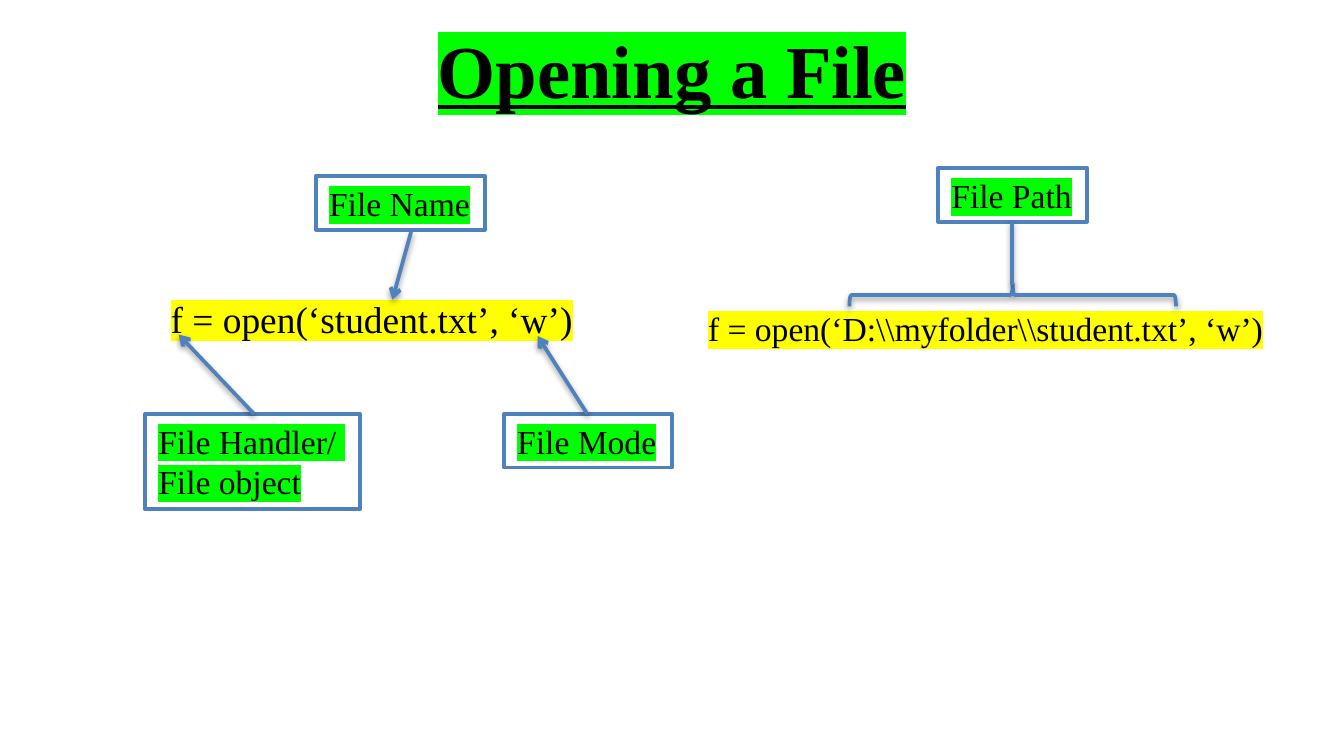
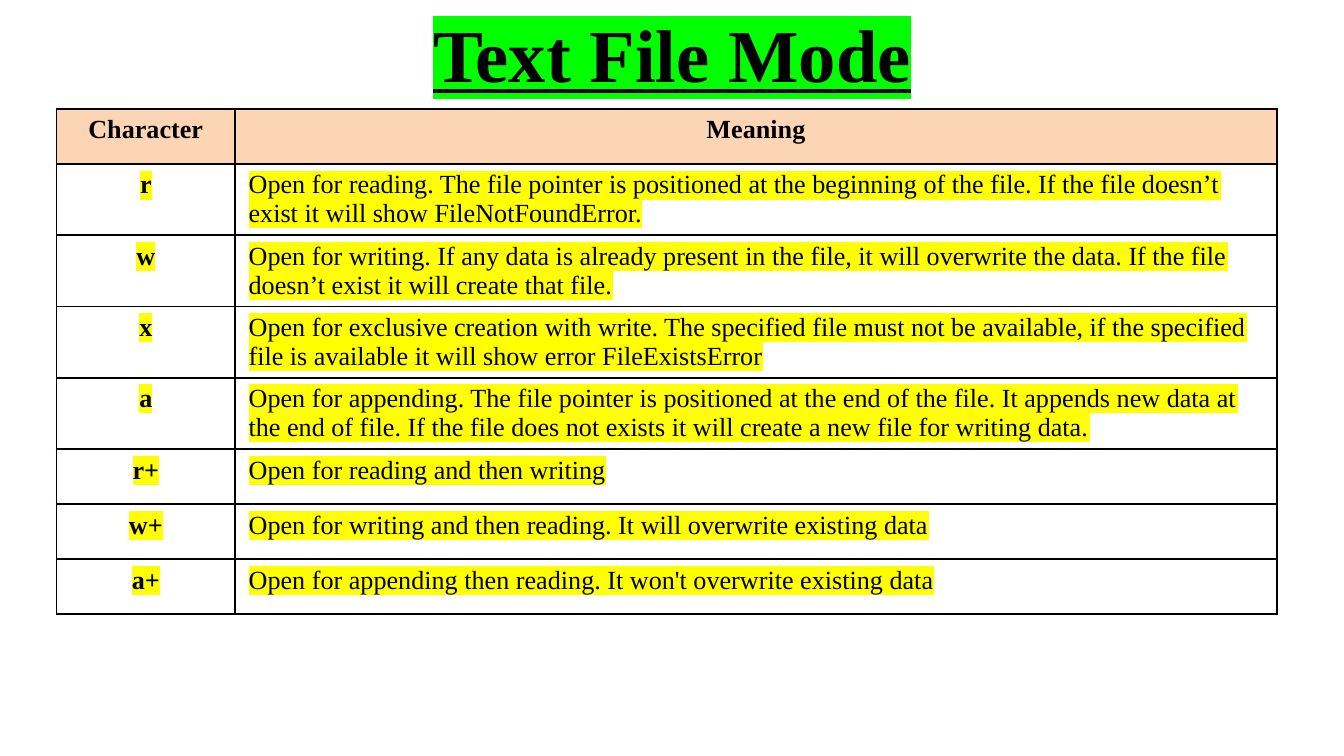
import dataclasses
import typing

import lxml.etree
import pptx
import pptx.dml.color
import pptx.enum.dml
import pptx.enum.shapes
import pptx.enum.text
import pptx.oxml
import pptx.oxml.ns
import pptx.util

Inches = pptx.util.Inches
qn = pptx.oxml.ns.qn

SLIDE_WIDTH = Inches(10)
SLIDE_HEIGHT = SLIDE_WIDTH * 9 // 16
FONT = "Times New Roman"
BLACK, WHITE, BLUE = "000000", "FFFFFF", "4F81BD"
GREEN, YELLOW, PEACH = "00FF00", "FFFF00", "FCD5B5"
LEFT = pptx.enum.text.PP_ALIGN.LEFT
CENTER = pptx.enum.text.PP_ALIGN.CENTER
TITLE_FORMAT = {"size": pptx.util.Pt(40), "bold": True, "underline": True}
CODE_FORMAT = {"size": pptx.util.Pt(20)}
LABEL_FORMAT = {"size": pptx.util.Pt(18)}
MODE_FORMAT = {"size": pptx.util.Pt(14), "bold": True}
MEANING_FORMAT = {"size": pptx.util.Pt(14), "bold": False}
FITTED_FRAME = {
    "word_wrap": False,
    "auto_size": pptx.enum.text.MSO_AUTO_SIZE.SHAPE_TO_FIT_TEXT,
}
FIXED_FRAME = {
    "word_wrap": True,
    "auto_size": pptx.enum.text.MSO_AUTO_SIZE.NONE,
}
LINE_SHADOW = (
    '<a:effectLst %s><a:outerShdw blurRad="40000" dist="20000" dir="5400000" '
    'rotWithShape="0"><a:srgbClr val="000000"><a:alpha val="38000"/>'
    "</a:srgbClr></a:outerShdw></a:effectLst>" % pptx.oxml.ns.nsdecls("a")
)


@dataclasses.dataclass(frozen=True)
class Box:
    left: float
    top: float
    width: float
    height: float

    def lengths(self) -> list:
        return [Inches(value) for value in dataclasses.astuple(self)]


@dataclasses.dataclass(frozen=True)
class Pointer:
    start: tuple
    end: tuple
    arrow: bool = True


@dataclasses.dataclass(frozen=True)
class Label:
    lines: tuple
    box: Box
    pointer: Pointer


STATEMENT_LABELS = [
    Label(("File Handler/ ", "File object"), Box(1.08, 3.08, 1.6, 0.71),
          Pointer((1.89, 3.08), (1.33, 2.49))),
    Label(("File Mode",), Box(3.75, 3.08, 1.25, 0.4),
          Pointer((4.37, 3.08), (4, 2.5))),
    Label(("File Name",), Box(2.35, 1.31, 1.26, 0.4),
          Pointer((3.06, 1.72), (2.92, 2.23))),
]
PATH_LABEL = Label(("File Path",), Box(6.98, 1.25, 1.11, 0.4),
                   Pointer((7.53, 1.65), (7.53, 2.12), arrow=False))

MODES = {
    "r": "Open for reading. The file pointer is positioned at the beginning of the file. "
         "If the file doesn’t exist it will show FileNotFoundError.",
    "w": "Open for writing. If any data is already present in the file, it will overwrite "
         "the data. If the file doesn’t exist it will create that file.",
    "x": "Open for exclusive creation with write. The specified file must not be available, "
         "if the specified file is available it will show error FileExistsError",
    "a": "Open for appending. The file pointer is positioned at the end of the file. It "
         "appends new data at the end of file. If the file does not exists it will create "
         "a new file for writing data.",
    "r+": "Open for reading and then writing",
    "w+": "Open for writing and then reading. It will overwrite existing data",
    "a+": "Open for appending then reading. It won't overwrite existing data",
}


def color(hex_code: str) -> pptx.dml.color.RGBColor:
    return pptx.dml.color.RGBColor.from_string(hex_code)


def apply(target: typing.Any, values: dict) -> None:
    for name, value in values.items():
        setattr(target, name, value)


def paint(fill: typing.Any, hex_code: str) -> None:
    fill.solid()
    fill.fore_color.rgb = color(hex_code)


def write(frame: typing.Any, lines: tuple, font_format: dict,
          marker: typing.Optional[str] = None, align: typing.Any = LEFT) -> None:
    for index, line in enumerate(lines):
        paragraph = frame.add_paragraph() if index else frame.paragraphs[0]
        paragraph.alignment = align
        run = paragraph.add_run()
        run.text = line
        apply(run.font, {**font_format, "name": FONT})
        run.font.color.rgb = color(BLACK)
        if marker:
            latin = run.font._element.find(qn("a:latin"))
            highlight = lxml.etree.Element(qn("a:highlight"))
            lxml.etree.SubElement(highlight, qn("a:srgbClr"), val=marker)
            latin.addprevious(highlight)


def place(shape: typing.Any, box: Box) -> None:
    apply(shape, dict(zip(("left", "top", "width", "height"), box.lengths())))


def outline(shape: typing.Any) -> None:
    shape.line.color.rgb = color(BLUE)
    shape.line.width = pptx.util.Pt(2)


def shade(shape: typing.Any) -> None:
    shape._element.spPr.append(pptx.oxml.parse_xml(LINE_SHADOW))


def add_title(slide: typing.Any, text: str, box: Box) -> None:
    title = slide.shapes.title
    place(title, box)
    apply(title.text_frame, {
        **FIXED_FRAME, "vertical_anchor": pptx.enum.text.MSO_ANCHOR.MIDDLE})
    write(title.text_frame, (text,), TITLE_FORMAT, GREEN, CENTER)


def add_pointer(slide: typing.Any, pointer: Pointer) -> None:
    ends = [Inches(value) for value in pointer.start + pointer.end]
    connector = slide.shapes.add_connector(
        pptx.enum.shapes.MSO_CONNECTOR.STRAIGHT, *ends)
    outline(connector)
    if pointer.arrow:
        lxml.etree.SubElement(connector.line._get_or_add_ln(),
                              qn("a:tailEnd"), type="arrow")
    shade(connector)


def add_label(slide: typing.Any, label: Label) -> None:
    shape = slide.shapes.add_shape(
        pptx.enum.shapes.MSO_SHAPE.RECTANGLE, *label.box.lengths())
    paint(shape.fill, WHITE)
    outline(shape)
    shape.shadow.inherit = False
    apply(shape.text_frame, {
        **FITTED_FRAME, "vertical_anchor": pptx.enum.text.MSO_ANCHOR.TOP})
    write(shape.text_frame, label.lines, LABEL_FORMAT, GREEN)


def add_statement(slide: typing.Any) -> None:
    statement = slide.placeholders[1]
    place(statement, Box(1.17, 2.15, 3.83, 0.58))
    apply(statement.text_frame, FIXED_FRAME)
    paragraph = statement.text_frame.paragraphs[0]
    properties = paragraph._p.get_or_add_pPr()
    for name in ("marL", "indent"):
        properties.set(name, "0")
    lxml.etree.SubElement(properties, qn("a:buNone"))
    paragraph.space_before = pptx.util.Pt(0)
    write(statement.text_frame, ("f = open(‘student.txt’, ‘w’)",), CODE_FORMAT, YELLOW)


def add_path_statement(slide: typing.Any) -> None:
    statement = slide.shapes.add_textbox(*Box(5.17, 2.24, 4.38, 0.4).lengths())
    apply(statement.text_frame, FITTED_FRAME)
    write(statement.text_frame,
          (r"f = open(‘D:\\myfolder\\student.txt’, ‘w’)",), LABEL_FORMAT, YELLOW)


def add_path_brace(slide: typing.Any) -> None:
    brace = slide.shapes.add_shape(
        pptx.enum.shapes.MSO_SHAPE.RIGHT_BRACE, *Box(7.45, 0.98, 0.17, 2.43).lengths())
    brace.rotation = 270
    brace.fill.background()
    outline(brace)
    shade(brace)


def add_borders(cell: typing.Any) -> None:
    properties = cell._tc.get_or_add_tcPr()
    for index, side in enumerate(("lnL", "lnR", "lnT", "lnB")):
        border = lxml.etree.Element(qn("a:" + side), w=str(int(pptx.util.Pt(1))))
        solid = lxml.etree.SubElement(border, qn("a:solidFill"))
        lxml.etree.SubElement(solid, qn("a:srgbClr"), val=BLACK)
        properties.insert(index, border)


def add_mode_table(slide: typing.Any) -> None:
    rows = [("Character", "Meaning"), *MODES.items()]
    row_height = 0.41
    box = Box(0.42, 0.81, 9.08, row_height * len(rows))
    table = slide.shapes.add_table(len(rows), 2, *box.lengths()).table
    apply(table, {"first_row": False, "horz_banding": False})
    for column, width in zip(table.columns, (1.33, 7.75)):
        column.width = Inches(width)
    for row_index, row in enumerate(rows):
        table.rows[row_index].height = Inches(row_height)
        is_header = row_index == 0
        for column_index, text in enumerate(row):
            cell = table.cell(row_index, column_index)
            is_meaning = column_index == 1 and not is_header
            write(cell.text_frame, (text,),
                  MEANING_FORMAT if is_meaning else MODE_FORMAT,
                  None if is_header else YELLOW,
                  LEFT if is_meaning else CENTER)
            if is_header:
                paint(cell.fill, PEACH)
            else:
                cell.fill.background()
            add_borders(cell)


def build_opening_slide(deck: typing.Any) -> None:
    slide = deck.slides.add_slide(deck.slide_layouts[1])
    add_title(slide, "Opening a File", Box(0.5, 0.04, 9, 0.94))
    add_statement(slide)
    for label in STATEMENT_LABELS:
        add_label(slide, label)
        add_pointer(slide, label.pointer)
    add_path_statement(slide)
    add_label(slide, PATH_LABEL)
    add_path_brace(slide)
    add_pointer(slide, PATH_LABEL.pointer)


def build_modes_slide(deck: typing.Any) -> None:
    slide = deck.slides.add_slide(deck.slide_layouts[5])
    add_title(slide, "Text File Mode", Box(0.5, -0.02, 9, 0.83))
    add_mode_table(slide)


def main() -> None:
    deck = pptx.Presentation()
    apply(deck, {"slide_width": SLIDE_WIDTH, "slide_height": SLIDE_HEIGHT})
    build_opening_slide(deck)
    build_modes_slide(deck)
    deck.save("out.pptx")


if __name__ == "__main__":
    main()
